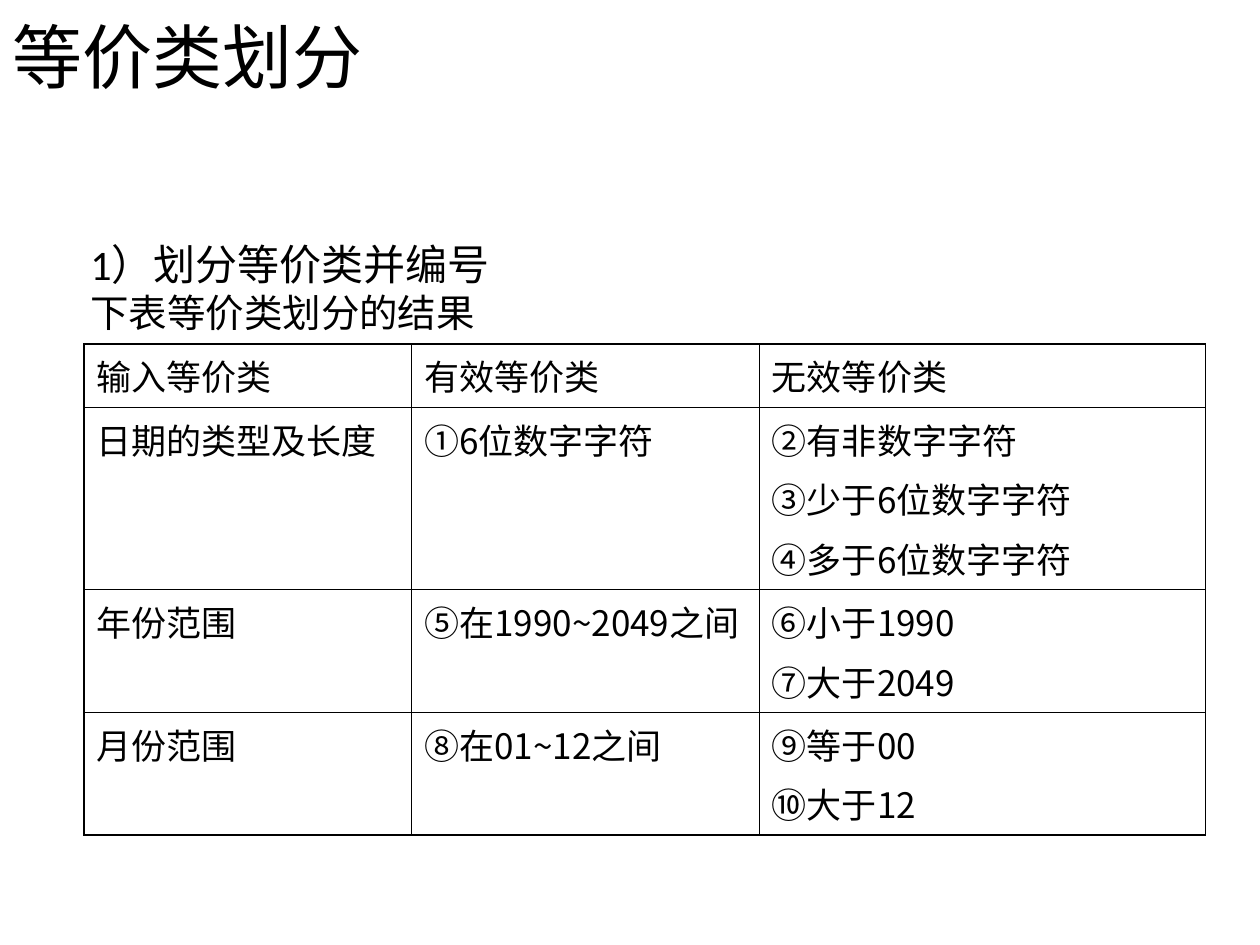
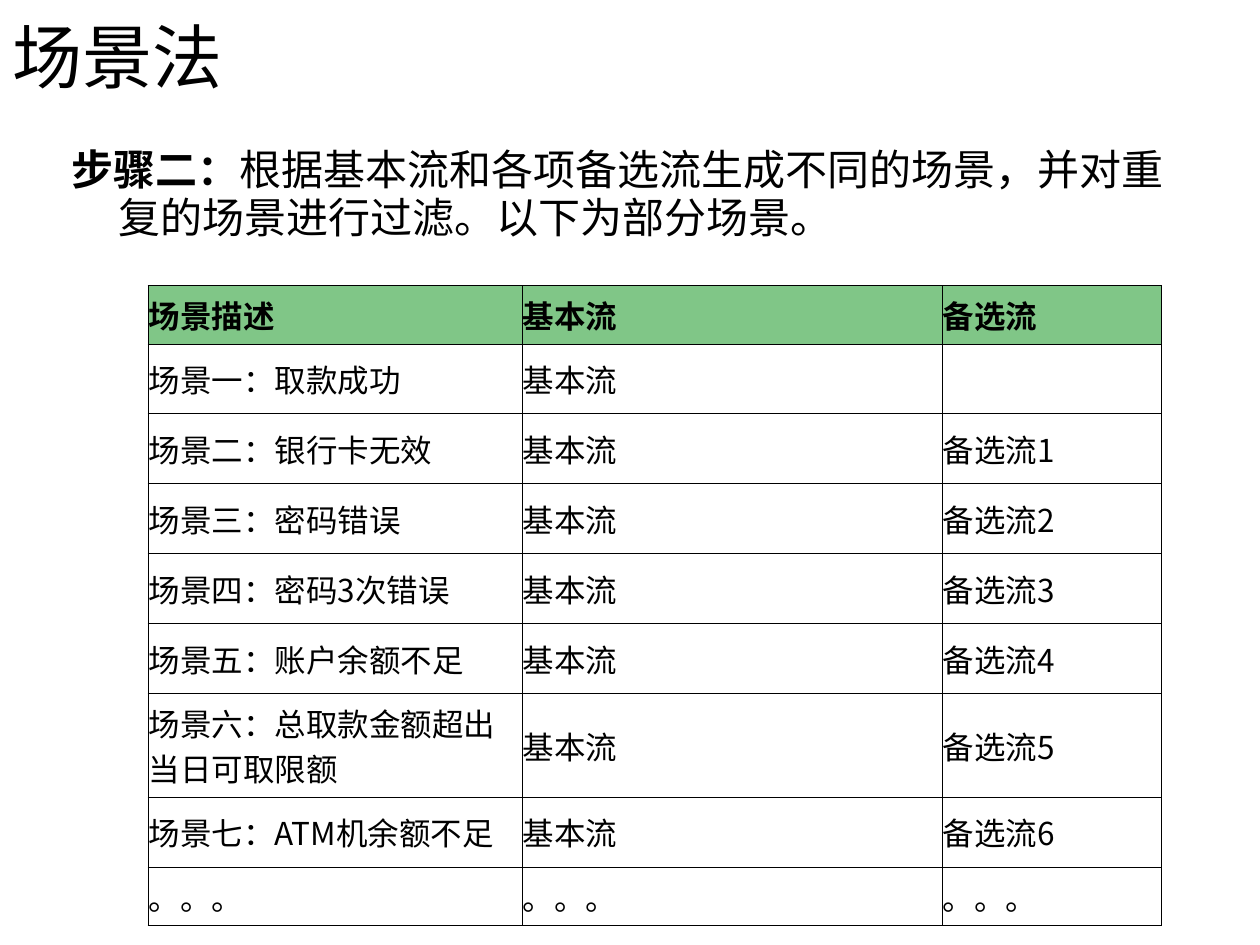
from dataclasses import dataclass
from lxml.etree import SubElement, Element
from pptx import Presentation
from pptx.dml.color import RGBColor as Rgb
from pptx.enum.text import MSO_ANCHOR as Anchor
from pptx.oxml.ns import qn
from pptx.util import Pt


@dataclass(frozen=True)
class Theme:
    ink: str = "000000"
    head: str = "80C687"
    body: str = "Calibri"
    cjk: str = "Noto Sans CJK SC"
    title: float = 40
    lead: float = 24
    note: float = 22
    wide: float = 20
    small: float = 18


@dataclass(frozen=True)
class Box:
    left: float
    top: float
    width: float
    height: float


@dataclass(frozen=True)
class Grid:
    left: float
    top: float
    cols: tuple
    rows: tuple
    cells: tuple
    size: float
    pad: float
    edge: float
    inner: float
    anchor: Anchor = Anchor.TOP
    head: bool = False


THEME = Theme()
TITLE = Box(0, 6.5, 648, 51)


def write(para, text: str, *, size: float, font: str = THEME.body,
          bold: bool = False, gap: float = 0, line: float = 1, hang: float = 0):
    para.space_before = Pt(gap)
    para.line_spacing = line
    if hang:
        props = para._p.get_or_add_pPr()
        props.set("marL", str(Pt(hang)))
        props.set("indent", str(-Pt(hang)))
    run = para.add_run()
    run.text = text
    face = run.font
    face.name, face.size, face.bold = font, Pt(size), bold
    face.color.rgb = Rgb.from_string(THEME.ink)
    SubElement(face._element, qn("a:ea")).set("typeface", THEME.cjk)


def add_box(slide, box: Box, anchor: Anchor = Anchor.TOP):
    shape = slide.shapes.add_textbox(
        Pt(box.left), Pt(box.top), Pt(box.width), Pt(box.height))
    frame = shape.text_frame
    frame.word_wrap = True
    frame.vertical_anchor = anchor
    return frame


def add_page(deck, title: str):
    slide = deck.slides.add_slide(deck.slide_layouts[6])
    frame = add_box(slide, TITLE, Anchor.MIDDLE)
    write(frame.paragraphs[0], title, size=THEME.title)
    return slide


def rule_cell(cell, widths: dict):
    props = cell._tc.get_or_add_tcPr()
    for spot, (side, width) in enumerate(widths.items()):
        line = Element(qn(f"a:ln{side}"), w=str(Pt(width)))
        fill = SubElement(line, qn("a:solidFill"))
        SubElement(fill, qn("a:srgbClr")).set("val", THEME.ink)
        props.insert(spot, line)


def add_grid(slide, grid: Grid):
    last_row, last_col = len(grid.rows) - 1, len(grid.cols) - 1
    table = slide.shapes.add_table(
        last_row + 1, last_col + 1, Pt(grid.left), Pt(grid.top),
        Pt(sum(grid.cols)), Pt(sum(grid.rows))).table
    table.first_row = table.horz_banding = False
    for col, width in zip(table.columns, grid.cols):
        col.width = Pt(width)
    for row, height in zip(table.rows, grid.rows):
        row.height = Pt(height)
    for r, texts in enumerate(grid.cells):
        for c, text in enumerate(texts):
            cell = table.cell(r, c)
            head = grid.head and r == 0
            cell.margin_left = cell.margin_right = Pt(grid.pad)
            cell.vertical_anchor = grid.anchor
            if head:
                cell.fill.solid()
                cell.fill.fore_color.rgb = Rgb.from_string(THEME.head)
            else:
                cell.fill.background()
            frame = cell.text_frame
            for n, part in enumerate(text.split("\n") if text else ()):
                para = frame.add_paragraph() if n else frame.paragraphs[0]
                write(para, part, size=grid.size, font=THEME.cjk,
                      bold=head, gap=5 if n else 0)
            outer = {"L": c == 0, "R": c == last_col,
                     "T": r == 0, "B": r == last_row}
            rule_cell(cell, {side: grid.edge if out else grid.inner
                             for side, out in outer.items()})


CLASSES = Grid(
    48, 196.5, (187.2, 198.7, 254.9), (36.2, 104.2, 70.2, 70.2),
    (("输入等价类", "有效等价类", "无效等价类"),
     ("日期的类型及长度", "①6位数字字符",
      "②有非数字字符\n③少于6位数字字符\n④多于6位数字字符"),
     ("年份范围", "⑤在1990~2049之间", "⑥小于1990\n⑦大于2049"),
     ("月份范围", "⑧在01~12之间", "⑨等于00\n⑩大于12")),
    size=THEME.wide, pad=7.2, edge=1.08, inner=0.45)

SCENES = ("一：取款成功", "二：银行卡无效", "三：密码错误", "四：密码3次错误",
          "五：账户余额不足", "六：总取款金额超出当日可取限额", "七：ATM机余额不足")

FLOWS = Grid(
    84.5, 163.2, (213.8, 240, 125.3),
    (33.4, 39.6, 40, 40, 40, 40, 59.4, 40, 33.3),
    (("场景描述", "基本流", "备选流"),
     *((f"场景{scene}", "基本流", f"备选流{n}" if n else "")
       for n, scene in enumerate(SCENES)),
     ("。。。",) * 3),
    size=THEME.small, pad=0.4, edge=0.23, inner=0.23,
    anchor=Anchor.MIDDLE, head=True)


def main():
    deck = Presentation()
    deck.slide_width, deck.slide_height = Pt(720), Pt(540)

    page = add_page(deck, "等价类划分")
    frame = add_box(page, Box(44.6, 138.2, 630, 58))
    write(frame.paragraphs[0], "1）划分等价类并编号",
          size=THEME.lead, line=0.8, hang=27)
    write(frame.add_paragraph(), "下表等价类划分的结果",
          size=THEME.note, line=0.8, hang=27, gap=5.5)
    add_grid(page, CLASSES)

    page = add_page(deck, "场景法")
    step = add_box(page, Box(33.8, 80.5, 648, 78)).paragraphs[0]
    style = dict(size=THEME.lead, line=0.95, hang=27)
    write(step, "步骤二：", font=THEME.cjk, bold=True, **style)
    write(step, "根据基本流和各项备选流生成不同的场景，并对重复的场景进行过滤。"
          "以下为部分场景。", **style)
    add_grid(page, FLOWS)

    deck.save("out.pptx")


if __name__ == "__main__":
    main()
